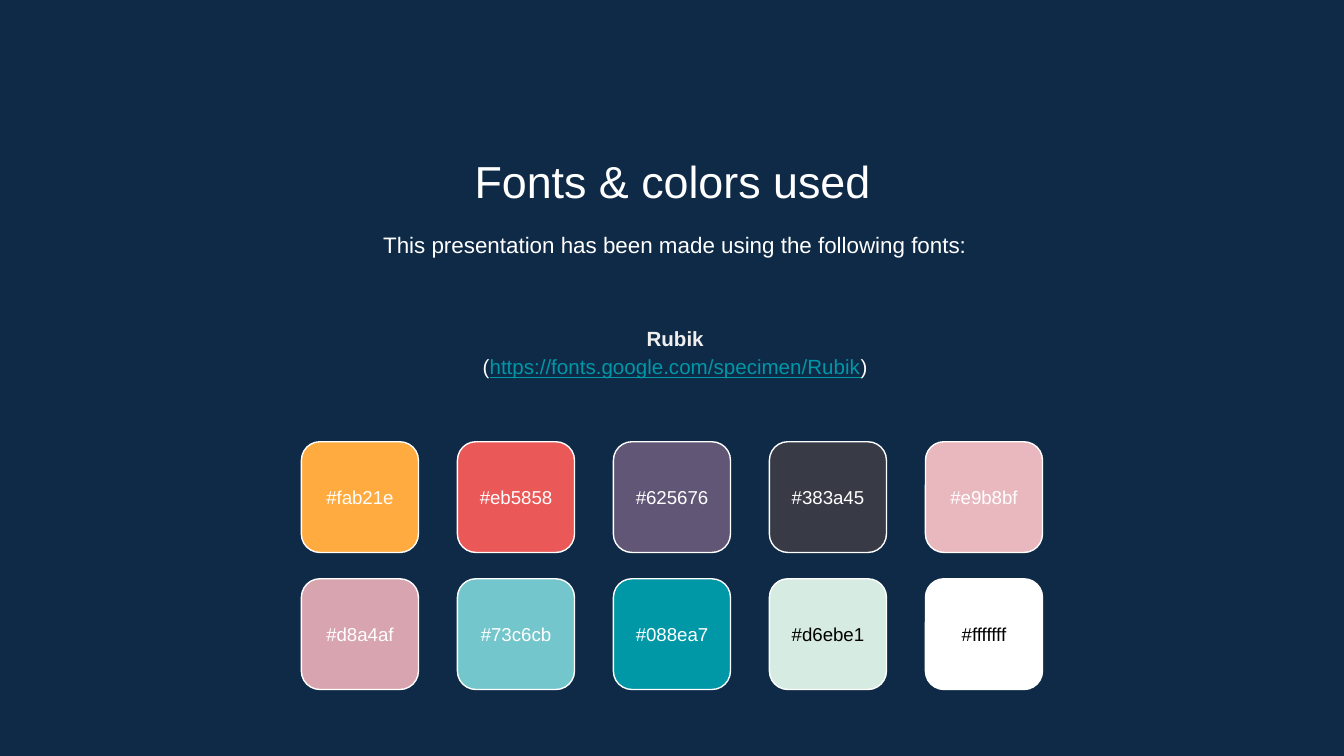
from pptx import Presentation
from pptx.dml.color import RGBColor
from pptx.enum import shapes, text
from pptx.util import Pt

NAVY = RGBColor(0x0E, 0x2A, 0x47)
WHITE = RGBColor(0xFF, 0xFF, 0xFF)
BLACK = RGBColor(0x00, 0x00, 0x00)
PALE_GREY = RGBColor(0xEF, 0xEF, 0xEF)
TEAL = RGBColor(0x00, 0x97, 0xA7)
AMBER = RGBColor(0xFF, 0xAB, 0x40)
CORAL = RGBColor(0xEB, 0x58, 0x58)
PURPLE = RGBColor(0x62, 0x56, 0x76)
CHARCOAL = RGBColor(0x38, 0x3A, 0x45)
PINK = RGBColor(0xE9, 0xB8, 0xBF)
ROSE = RGBColor(0xD8, 0xA4, 0xAF)
AQUA = RGBColor(0x73, 0xC6, 0xCB)
MINT = RGBColor(0xD6, 0xEB, 0xE1)

PALETTE = [
    [("#fab21e", AMBER, WHITE), ("#eb5858", CORAL, WHITE),
     ("#625676", PURPLE, WHITE), ("#383a45", CHARCOAL, WHITE),
     ("#e9b8bf", PINK, WHITE)],
    [("#d8a4af", ROSE, WHITE), ("#73c6cb", AQUA, WHITE),
     ("#088ea7", TEAL, WHITE), ("#d6ebe1", MINT, BLACK),
     ("#fffffff", WHITE, BLACK)],
]


def set_frame(frame, anchor, bottom=7.2):
    """Set wrapping, anchor and insets of a text frame."""
    frame.word_wrap = True
    frame.auto_size = text.MSO_AUTO_SIZE.NONE
    frame.vertical_anchor = anchor
    frame.margin_left = frame.margin_right = frame.margin_top = Pt(7.2)
    frame.margin_bottom = Pt(bottom)


def set_paragraph(paragraph, size, color, spacing=1.0, bold=False):
    """Centre a paragraph and set its font."""
    paragraph.alignment = text.PP_ALIGN.CENTER
    paragraph.line_spacing = spacing
    font = paragraph.font
    font.name, font.size, font.bold = "Arial", Pt(size), bold
    font.color.rgb = color


def add_title(slide, left, top, width, height):
    """Place the slide title."""
    title = slide.shapes.title
    title.left, title.top = Pt(left), Pt(top)
    title.width, title.height = Pt(width), Pt(height)
    set_frame(title.text_frame, text.MSO_ANCHOR.TOP)
    title.text_frame.text = "Fonts & colors used"
    set_paragraph(title.text_frame.paragraphs[0], 24, WHITE)


def add_intro(slide, left, top, width, height):
    """Place the line that introduces the fonts."""
    intro = slide.shapes.add_textbox(Pt(left), Pt(top), Pt(width), Pt(height)).text_frame
    set_frame(intro, text.MSO_ANCHOR.TOP)
    intro.text = "This presentation has been made using the following fonts:"
    set_paragraph(intro.paragraphs[0], 12, WHITE, 1.15)


def add_font_source(slide, left, top, width, height):
    """Place the font name above its web address."""
    source = slide.shapes.add_textbox(Pt(left), Pt(top), Pt(width), Pt(height)).text_frame
    set_frame(source, text.MSO_ANCHOR.MIDDLE, bottom=32.3)
    name = source.paragraphs[0]
    name.text = "Rubik"
    set_paragraph(name, 11, PALE_GREY, 1.15, bold=True)
    address = source.add_paragraph()
    set_paragraph(address, 11, WHITE, 1.15)
    for part in ("(", "https://fonts.google.com/specimen/Rubik", ")"):
        run = address.add_run()
        run.text = part
        if part.startswith("https"):
            run.font.color.rgb = TEAL
            run.font.underline = True


def add_swatch(slide, left, top, width, height, code, fill, ink):
    """Place one rounded colour swatch with its code."""
    swatch = slide.shapes.add_shape(
        shapes.MSO_SHAPE.ROUNDED_RECTANGLE, Pt(left), Pt(top), Pt(width), Pt(height))
    swatch.shadow.inherit = False
    swatch.fill.solid()
    swatch.fill.fore_color.rgb = fill
    swatch.line.color.rgb = WHITE
    swatch.line.width = Pt(0.75)
    set_frame(swatch.text_frame, text.MSO_ANCHOR.MIDDLE)
    swatch.text_frame.margin_left = swatch.text_frame.margin_right = Pt(2)
    swatch.text_frame.text = code
    set_paragraph(swatch.text_frame.paragraphs[0], 10, ink)


def add_palette(slide, left, top, width, height):
    """Spread the swatches evenly over a grid."""
    swatch_width, swatch_height = 62.7, 59.3
    column_step = (width - swatch_width) / (len(PALETTE[0]) - 1)
    row_step = (height - swatch_height) / (len(PALETTE) - 1)
    for row, colors in enumerate(PALETTE):
        for column, color in enumerate(colors):
            add_swatch(slide, left + column * column_step, top + row * row_step,
                       swatch_width, swatch_height, *color)


def main():
    """Build and save the slide."""
    deck = Presentation()
    deck.slide_width, deck.slide_height = Pt(720), Pt(405)
    slide = deck.slides.add_slide(deck.slide_layouts.get_by_name("Title Only"))
    slide.background.fill.solid()
    slide.background.fill.fore_color.rgb = NAVY
    add_title(slide, 82.8, 75, 555, 38.2)
    add_intro(slide, 84.2, 114.5, 555, 34.6)
    add_font_source(slide, 84.2, 151.2, 555, 98.6)
    add_palette(slide, 161.5, 236.7, 397, 132.7)
    deck.save("out.pptx")


if __name__ == "__main__":
    main()
